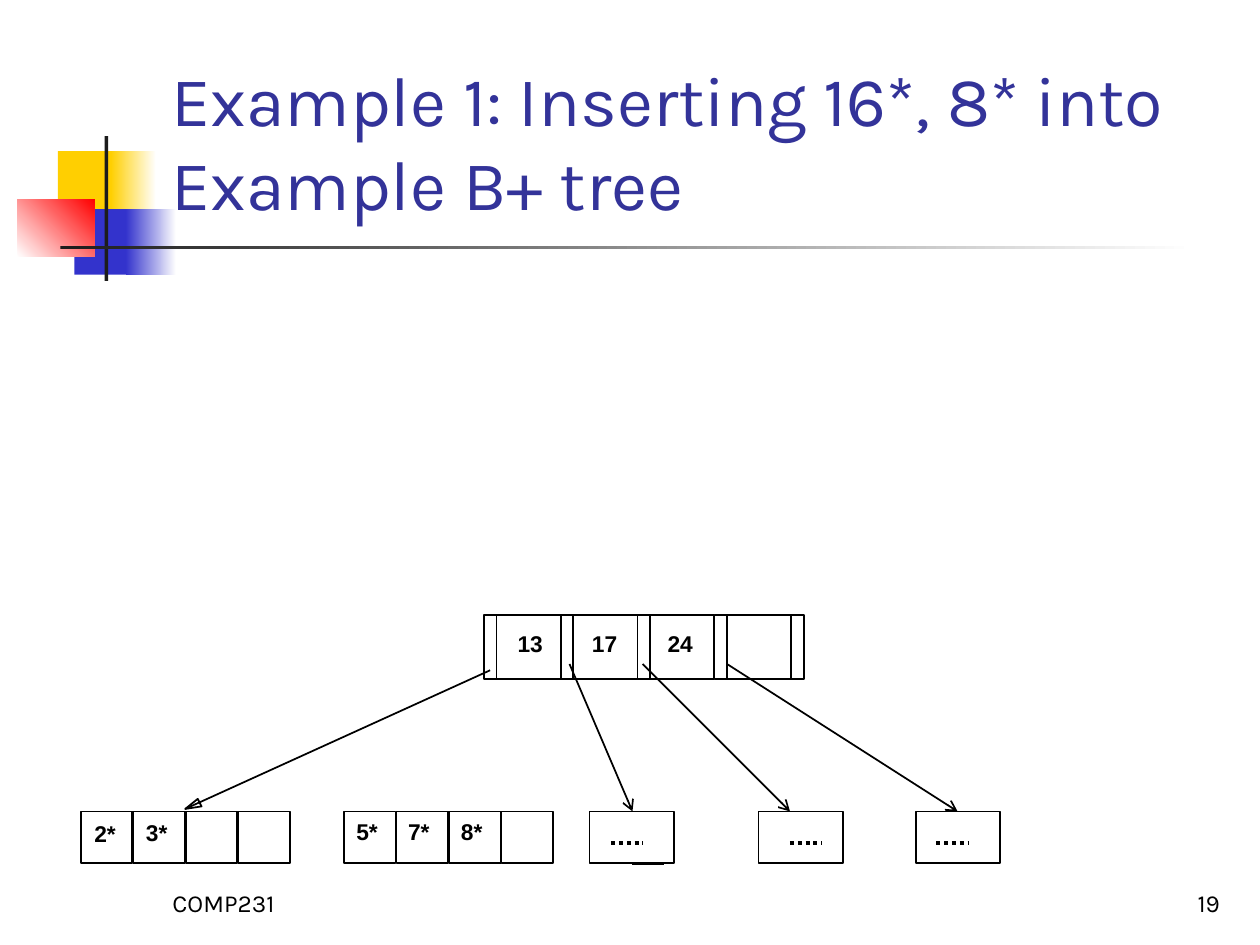
from lxml import etree
from pptx import Presentation
from pptx.dml.color import RGBColor
from pptx.enum.dml import MSO_LINE_DASH_STYLE as DASH
from pptx.enum.shapes import MSO_CONNECTOR, MSO_SHAPE
from pptx.enum.text import MSO_ANCHOR, PP_ALIGN
from pptx.oxml.ns import qn
from pptx.util import Inches, Pt

BLACK = RGBColor(0x00, 0x00, 0x00)
WHITE = RGBColor(0xFF, 0xFF, 0xFF)
YELLOW = RGBColor(0xFF, 0xCF, 0x01)
BLUE = RGBColor(0x33, 0x33, 0xCC)
RED = RGBColor(0xFF, 0x00, 0x00)
DARK = RGBColor(0x1C, 0x1C, 0x1C)
TITLE = RGBColor(0x33, 0x33, 0x99)

prs = Presentation()
prs.slide_width, prs.slide_height = Inches(10), Inches(7.5)
s = prs.slides.add_slide(prs.slide_layouts[6])


def add_text(text, x, y, w, h, size=13, font="Arial", color=BLACK, bold=False,
             align=PP_ALIGN.LEFT, anchor=MSO_ANCHOR.TOP, wrap=True):
    tf = s.shapes.add_textbox(Inches(x), Inches(y), Inches(w), Inches(h)).text_frame
    tf.word_wrap = wrap
    tf.vertical_anchor = anchor
    p = tf.paragraphs[0]
    p.alignment = align
    r = p.add_run()
    r.text = text
    r.font.size, r.font.name, r.font.bold = Pt(size), font, bold
    r.font.color.rgb = color


def add_line(x1, y1, x2, y2, width=1):
    line = s.shapes.add_connector(MSO_CONNECTOR.STRAIGHT, Inches(x1), Inches(y1),
                                  Inches(x2), Inches(y2))
    line.line.color.rgb = BLACK
    line.line.width = Pt(width)
    etree.SubElement(line._element.spPr, qn("a:effectLst"))
    return line


# Corner decoration: left, top, width, height, colours, gradient angle
for x, y, w, h, colors, angle in [
    (0.46, 1.2, 0.48, 0.52, [YELLOW], 0),
    (0.88, 1.2, 0.36, 0.52, [YELLOW, WHITE], 0),
    (0.59, 1.66, 0.46, 0.52, [BLUE], 0),
    (1, 1.66, 0.4, 0.52, [BLUE, WHITE], 0),
    (0.14, 1.58, 0.61, 0.46, [WHITE, RED], 45),
    (0.83, 1.08, 0.03, 1.15, [DARK], 0),
    (0.48, 1.95, 9, 0.03, [DARK, WHITE], 0),
]:
    sp = s.shapes.add_shape(MSO_SHAPE.RECTANGLE, Inches(x), Inches(y), Inches(w), Inches(h))
    sp.shadow.inherit = False
    sp.line.fill.background()
    if len(colors) == 1:
        sp.fill.solid()
        sp.fill.fore_color.rgb = colors[0]
    else:
        sp.fill.gradient()
        sp.fill.gradient_angle = angle
        for stop, color in zip(sp.fill.gradient_stops, colors):
            stop.color.rgb = color

# Title and footer
add_text("Example 1: Inserting 16*, 8* into Example B+ tree", 1.26, 0.23, 8.52, 1.6,
         size=40, font="Karla", color=TITLE, anchor=MSO_ANCHOR.BOTTOM)
add_text("COMP231", 1.27, 6.83, 2.08, 0.5, size=14, font="Karla", anchor=MSO_ANCHOR.BOTTOM)
add_text("19", 7.7, 6.83, 2.08, 0.5, size=14, font="Karla", align=PP_ALIGN.RIGHT,
         anchor=MSO_ANCHOR.BOTTOM)

# Node outlines: root entries, closing pointer, leaf entries, collapsed leaves
ROOT_X, ROOT_Y, ROOT_W, ROOT_H = 3.84, 4.88, 0.61, 0.51
LEAF_Y, LEAF, PITCH = 6.44, 0.41, 0.417
boxes = [(ROOT_X + i * ROOT_W, ROOT_Y, ROOT_W, ROOT_H) for i in range(4)]
boxes.append((ROOT_X + 4 * ROOT_W, ROOT_Y, 0.1, ROOT_H))
boxes += [(x + i * PITCH, LEAF_Y, LEAF, LEAF) for x in (0.64, 2.73) for i in range(4)]
boxes += [(x, LEAF_Y, 0.67, LEAF) for x in (4.68, 6.02, 7.27)]
for x, y, w, h in boxes:
    sp = s.shapes.add_shape(MSO_SHAPE.RECTANGLE, Inches(x), Inches(y), Inches(w), Inches(h))
    sp.shadow.inherit = False
    sp.fill.background()
    sp.line.color.rgb = BLACK
    sp.line.width = Pt(1)

# Pointer slots in the root
for i in range(4):
    x = ROOT_X + 0.1 + i * ROOT_W
    add_line(x, ROOT_Y, x, ROOT_Y + ROOT_H)

# Keys
for key, x, y in [("13", 4.01, 4.95), ("17", 4.6, 4.95), ("24", 5.2, 4.95),
                  ("2*", 0.65, 6.46), ("3*", 1.06, 6.45),
                  ("5*", 2.73, 6.44), ("7*", 3.14, 6.44), ("8*", 3.56, 6.44)]:
    add_text(key, x, y, 0.4, 0.31, bold=True, wrap=False)

# Pointer to the first leaf, with an outlined head
add_line(3.89, 5.32, 1.47, 6.42)
head = s.shapes.build_freeform(Inches(1.6), Inches(6.4), scale=1.0)
head.add_line_segments([(Inches(1.47), Inches(6.42)), (Inches(1.57), Inches(6.34))], close=True)
sp = head.convert_to_shape()
sp.shadow.inherit = False
sp.fill.background()
sp.line.color.rgb = BLACK
sp.line.width = Pt(1)

# Pointers to the collapsed leaves
for x1, x2 in [(4.52, 5.02), (5.1, 6.27), (5.77, 7.6)]:
    arrow = add_line(x1, 5.27, x2, LEAF_Y)
    etree.SubElement(arrow.line._get_or_add_ln(), qn("a:tailEnd"), type="arrow")

# Dots in the collapsed leaves, and a short rule under the first
for x in (4.85, 6.27, 7.43):
    add_line(x, 6.69, x + 0.25, 6.69, width=2.25).line.dash_style = DASH.ROUND_DOT
add_line(5.02, 6.86, 5.27, 6.86)

prs.save("out.pptx")
